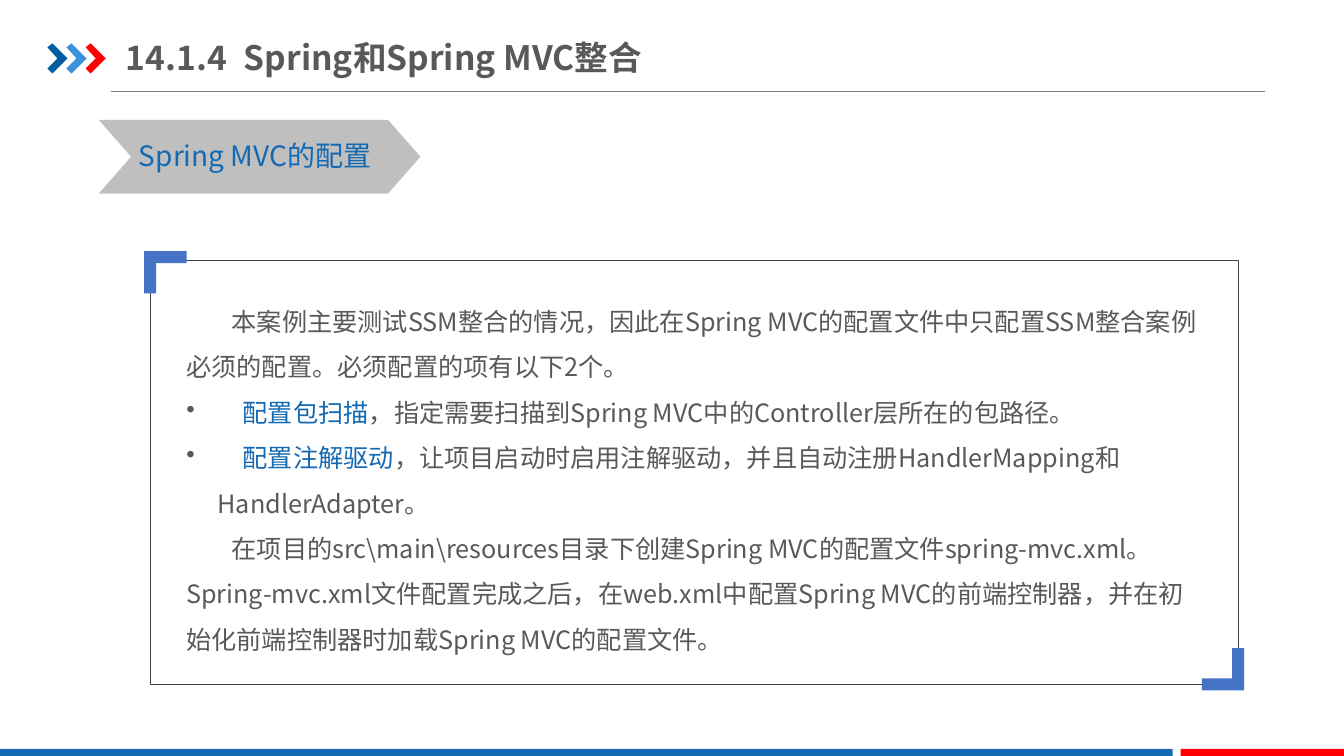
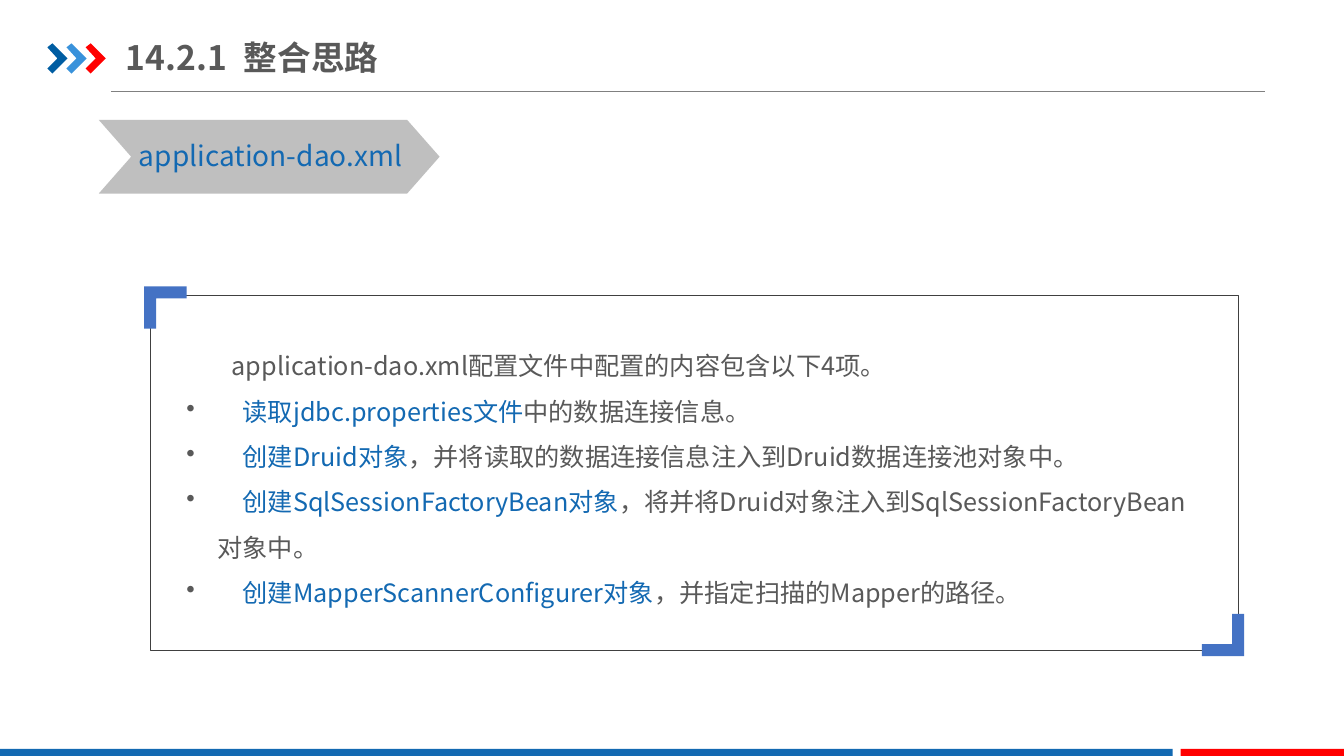
from dataclasses import dataclass

import pptx
import pptx.dml.color
import pptx.enum.shapes
import pptx.enum.text
import pptx.oxml
import pptx.oxml.ns
import pptx.util
from pptx.util import Inches

SHAPES = pptx.enum.shapes.MSO_SHAPE


@dataclass(frozen=True)
class Theme:
    font: str = "Noto Sans CJK SC"
    blue: str = "1369B2"
    red: str = "FF0000"
    grey: str = "595959"
    rule: str = "808080"
    badge: str = "BFBFBF"
    frame: str = "404040"
    corner: str = "4472C4"
    arrows: tuple = ("005DA2", "3992DB", "FF0000")
    title_size: int = 24
    badge_size: int = 20
    body_size: int = 18


THEME = Theme()

# A plain string is an indented paragraph; a pair is a bullet: (key words, rest).
SLIDES = [
    {
        "number": "14.1.4",
        "title": "Spring和Spring MVC整合",
        "badge": "Spring MVC的配置",
        "badge_width": 3.19,
        "frame_top": 2.58,
        "frame_height": 4.21,
        "body_top": 2.84,
        "body": [
            "本案例主要测试SSM整合的情况，因此在Spring MVC的配置文件中只配置SSM整合案例必须的配置。"
            "必须配置的项有以下2个。",
            ("配置包扫描", "，指定需要扫描到Spring MVC中的Controller层所在的包路径。"),
            ("配置注解驱动", "，让项目启动时启用注解驱动，并且自动注册HandlerMapping和HandlerAdapter。"),
            "在项目的src\\main\\resources目录下创建Spring MVC的配置文件spring-mvc.xml。"
            "Spring-mvc.xml文件配置完成之后，在web.xml中配置Spring MVC的前端控制器，"
            "并在初始化前端控制器时加载Spring MVC的配置文件。",
        ],
    },
    {
        "number": "14.2.1",
        "title": "整合思路",
        "badge": "application-dao.xml",
        "badge_width": 3.38,
        "frame_top": 2.93,
        "frame_height": 3.52,
        "body_top": 3.28,
        "body": [
            "application-dao.xml配置文件中配置的内容包含以下4项。",
            ("读取jdbc.properties文件", "中的数据连接信息。"),
            ("创建Druid对象", "，并将读取的数据连接信息注入到Druid数据连接池对象中。"),
            ("创建SqlSessionFactoryBean对象", "，将并将Druid对象注入到SqlSessionFactoryBean对象中。"),
            ("创建MapperScannerConfigurer对象", "，并指定扫描的Mapper的路径。"),
        ],
    },
]

SLIDE_WIDTH, SLIDE_HEIGHT = 13.33, 7.5
FOOTER_TOP, FOOTER_SPLIT, FOOTER_GAP = 7.43, 11.63, 0.08
ARROW_LEFT, ARROW_TOP, ARROW_PITCH = 0.47, 0.43, 0.19
ARROW = [(0, 0.04), (0.05, 0), (0.2, 0.15), (0.05, 0.3), (0, 0.25), (0.1, 0.15)]
FRAME_LEFT, FRAME_WIDTH = 1.49, 10.79
CORNER = [(0, 0), (0.42, 0), (0.42, 0.12), (0.12, 0.12), (0.12, 0.42), (0, 0.42)]
TITLE_TAB, FIRST_LINE, HANGING = 1.17, 0.45, 0.31
BULLET_GAP = "　"


def rgb(color):
    return pptx.dml.color.RGBColor.from_string(color)


def paint(shape, fill=None, line=None, width=0.25):
    shape.shadow.inherit = False
    if fill:
        shape.fill.solid()
        shape.fill.fore_color.rgb = rgb(fill)
    else:
        shape.fill.background()
    if line:
        shape.line.color.rgb = rgb(line)
        shape.line.width = pptx.util.Pt(width)
    else:
        shape.line.fill.background()


def add_preset(slide, kind, box, **style):
    shape = slide.shapes.add_shape(kind, *map(Inches, box))
    paint(shape, **style)
    return shape


def add_outline(slide, origin, points, fill, sign=1):
    """Draw a closed outline at origin; sign -1 turns it half way round."""
    corners = [
        (Inches(origin[0] + sign * x), Inches(origin[1] + sign * y)) for x, y in points
    ]
    builder = slide.shapes.build_freeform(*corners[0], scale=1.0)
    builder.add_line_segments(corners[1:], close=True)
    paint(builder.convert_to_shape(), fill=fill)


def add_text_box(slide, box, wrap=True):
    frame = slide.shapes.add_textbox(*map(Inches, box)).text_frame
    frame.word_wrap = wrap
    return frame


def add_run(paragraph, text, size, color, bold=False):
    run = paragraph.add_run()
    run.text = text
    run.font.name = THEME.font
    run.font.size = pptx.util.Pt(size)
    run.font.bold = bold
    run.font.color.rgb = rgb(color)
    east_asian = pptx.oxml.parse_xml(
        f'<a:ea {pptx.oxml.ns.nsdecls("a")} typeface="{THEME.font}"/>'
    )
    run.font._element.find(pptx.oxml.ns.qn("a:latin")).addnext(east_asian)


def add_property(paragraph, xml):
    namespace = pptx.oxml.ns.nsdecls("a")
    properties = paragraph._p.get_or_add_pPr()
    properties.append(pptx.oxml.parse_xml(xml.replace("/>", f" {namespace}/>", 1)
                                          if xml.startswith("<a:bu") else
                                          xml.replace(">", f" {namespace}>", 1)))


def set_indent(paragraph, left, first_line):
    properties = paragraph._p.get_or_add_pPr()
    properties.set("marL", str(Inches(left)))
    properties.set("indent", str(Inches(first_line)))


def add_furniture(slide):
    """Header rule, header arrows and footer bands."""
    rule = slide.shapes.add_connector(
        pptx.enum.shapes.MSO_CONNECTOR.STRAIGHT,
        Inches(1.1), Inches(0.91), Inches(12.55), Inches(0.91),
    )
    rule.line.color.rgb = rgb(THEME.rule)
    rule.line.width = pptx.util.Pt(0.5)
    rule._element.spPr.append(
        pptx.oxml.parse_xml(f'<a:effectLst {pptx.oxml.ns.nsdecls("a")}/>')
    )
    for index, color in enumerate(THEME.arrows):
        add_outline(slide, (ARROW_LEFT + index * ARROW_PITCH, ARROW_TOP), ARROW, color)
    red_left = FOOTER_SPLIT + FOOTER_GAP
    for left, right, color in (
        (0, FOOTER_SPLIT, THEME.blue),
        (red_left, SLIDE_WIDTH, THEME.red),
    ):
        box = (left, FOOTER_TOP, right - left, SLIDE_HEIGHT - FOOTER_TOP)
        add_preset(slide, SHAPES.RECTANGLE, box, fill=color)


def add_title(slide, number, title):
    frame = add_text_box(slide, (1.25, 0.29, 10, 0.55))
    frame.margin_left = frame.margin_right = 0
    frame.vertical_anchor = pptx.enum.text.MSO_ANCHOR.MIDDLE
    paragraph = frame.paragraphs[0]
    add_property(
        paragraph,
        f'<a:tabLst><a:tab pos="{Inches(TITLE_TAB)}" algn="l"/></a:tabLst>',
    )
    add_run(paragraph, f"{number}\t{title}", THEME.title_size, THEME.grey, bold=True)


def add_badge(slide, text, width):
    chevron = add_preset(slide, SHAPES.CHEVRON, (0.98, 1.19, width, 0.73), fill=THEME.badge)
    chevron.adjustments[0] = 0.44
    frame = add_text_box(slide, (1.28, 1.33, width - 0.48, 0.44), wrap=False)
    add_run(frame.paragraphs[0], text, THEME.badge_size, THEME.blue)


def add_body(slide, top, height, items):
    frame = add_text_box(slide, (1.75, top, 10.27, height))
    for index, item in enumerate(items):
        paragraph = frame.add_paragraph() if index else frame.paragraphs[0]
        paragraph.line_spacing = 1.5
        if isinstance(item, str):
            set_indent(paragraph, 0, FIRST_LINE)
            runs = [(item, THEME.grey)]
        else:
            set_indent(paragraph, HANGING, -HANGING)
            add_property(paragraph, '<a:buChar char="•"/>')
            key_words, rest = item
            runs = [(BULLET_GAP, THEME.grey), (key_words, THEME.blue), (rest, THEME.grey)]
        for text, color in runs:
            add_run(paragraph, text, THEME.body_size, color)


def add_frame(slide, top, height):
    """Thin frame with a bracket at two opposite corners."""
    box = (FRAME_LEFT, top, FRAME_WIDTH, height)
    add_preset(slide, SHAPES.RECTANGLE, box, line=THEME.frame)
    add_outline(slide, (FRAME_LEFT - 0.06, top - 0.09), CORNER, THEME.corner)
    far_corner = (FRAME_LEFT + FRAME_WIDTH + 0.06, top + height + 0.06)
    add_outline(slide, far_corner, CORNER, THEME.corner, sign=-1)


def main():
    presentation = pptx.Presentation()
    presentation.slide_width = Inches(SLIDE_WIDTH)
    presentation.slide_height = Inches(SLIDE_HEIGHT)
    for content in SLIDES:
        slide = presentation.slides.add_slide(presentation.slide_layouts[6])
        top, height = content["frame_top"], content["frame_height"]
        add_furniture(slide)
        add_badge(slide, content["badge"], content["badge_width"])
        add_title(slide, content["number"], content["title"])
        body_height = top + height - content["body_top"] - 0.3
        add_body(slide, content["body_top"], body_height, content["body"])
        add_frame(slide, top, height)
    presentation.save("out.pptx")


if __name__ == "__main__":
    main()
